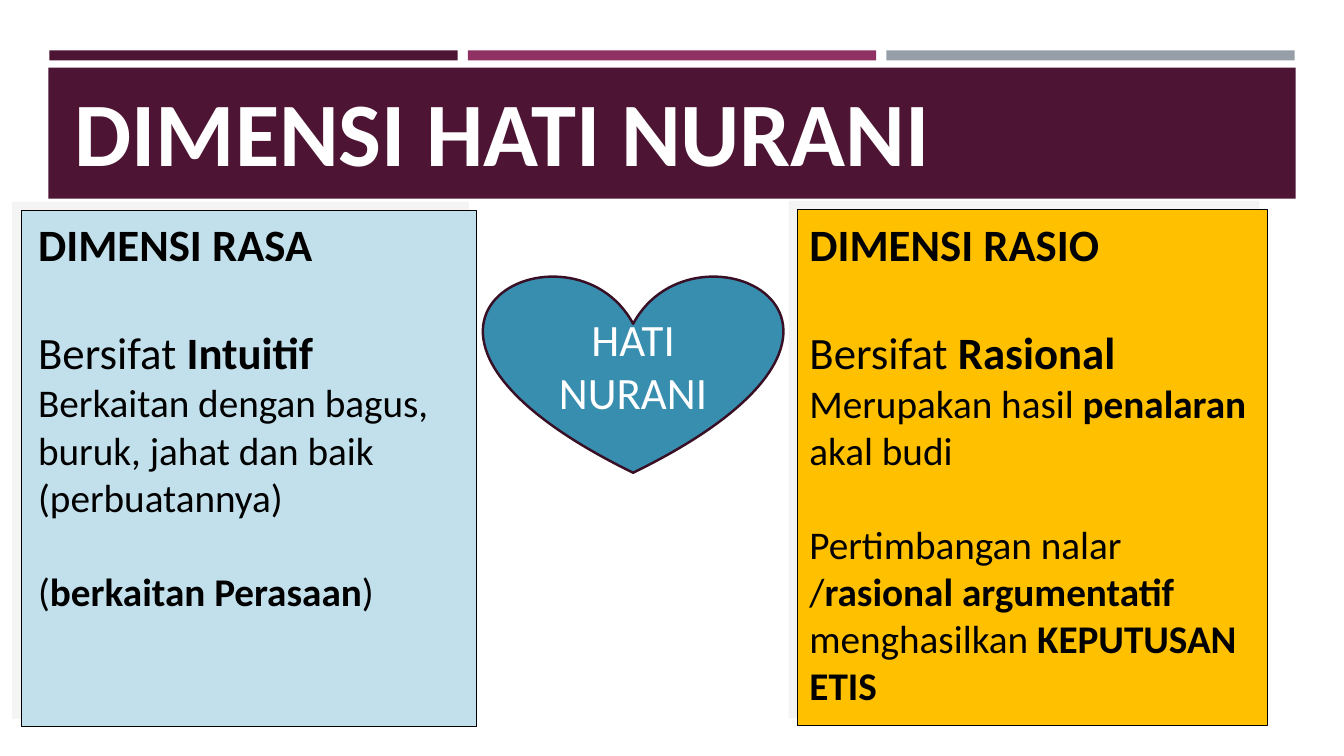
"""Build the slide on the two dimensions of conscience."""
from lxml.etree import SubElement
from pptx import Presentation
from pptx.dml.color import RGBColor
from pptx.enum.shapes import MSO_SHAPE
from pptx.enum.text import MSO_ANCHOR, PP_ALIGN
from pptx.oxml.ns import qn
from pptx.util import Inches, Pt

TITLE = "DIMENSI HATI NURANI"
CENTRE = "HATI NURANI"
BAR_COLOURS = ["4D1434", "903163", "969FA7"]
PANELS = [
    {"area": (0.21, 2.09, 4.52, 5.12), "text_area": (0.28, 2.1, 4.36, 4.07), "fill": "C2E0EB",
     "paragraphs": [
         (32, 0, [("DIMENSI RASA", True)]),
         (32, 39, [("Bersifat ", False), ("Intuitif", True)]),
         (28, 0, [("Berkaitan dengan bagus, buruk, jahat dan baik (perbuatannya)", False)]),
         (28, 34, [("(", False), ("berkaitan Perasaan", True), (")", False)])]},
    {"area": (7.91, 2.08, 4.66, 5.12), "text_area": (7.93, 2.1, 4.6, 5.02), "fill": "FFC000",
     "paragraphs": [
         (32, 0, [("DIMENSI RASIO", True)]),
         (32, 39, [("Bersifat ", False), ("Rasional", True)]),
         (28, 0, [("Merupakan hasil ", False), ("penalaran ", True), ("akal budi", False)]),
         (28, 34, [("Pertimbangan nalar /", False), ("rasional argumentatif ", True),
                   ("menghasilkan ", False), ("KEPUTUSAN ETIS", True)])]},
]


def colour(value):
    """Turn a hex string into a colour."""
    return RGBColor.from_string(value)


def add_box(page, kind, area, fill, line=None, width=0.75):
    """Add a filled shape with an optional outline."""
    box = page.shapes.add_shape(kind, *map(Inches, area))
    box.shadow.inherit = False
    box.fill.solid()
    box.fill.fore_color.rgb = colour(fill)
    if line:
        box.line.color.rgb = colour(line)
        box.line.width = Pt(width)
    else:
        box.line.fill.background()
    return box


def add_shadow(box):
    """Give a box a pale shadow to its upper left."""
    effects = box.element.spPr.find(qn("a:effectLst"))
    shadow = SubElement(effects, qn("a:outerShdw"), blurRad="0", dist=str(Pt(8.5)),
                        dir=str(225 * 60000), algn="ctr", rotWithShape="0")
    tint = SubElement(shadow, qn("a:srgbClr"), val="EBEBEB")
    SubElement(tint, qn("a:alpha"), val="50000")


def write(box, paragraphs, ink, anchor=MSO_ANCHOR.TOP, align=PP_ALIGN.LEFT):
    """Fill a box with paragraphs of (size, space before, spans)."""
    frame = box.text_frame
    frame.word_wrap = True
    frame.vertical_anchor = anchor
    for index, (size, gap, spans) in enumerate(paragraphs):
        para = frame.add_paragraph() if index else frame.paragraphs[0]
        para.alignment = align
        para.space_before = Pt(gap)
        for text, bold in spans:
            span = para.add_run()
            span.text = text
            span.font.color.rgb = colour(ink)
            for name, value in {"name": "Calibri", "size": Pt(size), "bold": bold}.items():
                setattr(span.font, name, value)


deck = Presentation()
deck.slide_width, deck.slide_height = Inches(13.33), Inches(7.5)
page = deck.slides.add_slide(deck.slide_layouts[6])

for index, fill in enumerate(BAR_COLOURS):
    add_box(page, MSO_SHAPE.RECTANGLE, (0.49 + 4.15 * index, 0.5, 4.05, 0.1), fill)
add_box(page, MSO_SHAPE.RECTANGLE, (0.48, 0.67, 12.37, 1.3), BAR_COLOURS[0])
title = page.shapes.add_textbox(*map(Inches, (0.64, 0.77, 12.06, 1.11)))
write(title, [(64.8, 0, [(TITLE, True)])], "FFFFFF", MSO_ANCHOR.BOTTOM)

heart = add_box(page, MSO_SHAPE.HEART, (4.8, 2.72, 2.96, 1.97), "388EAF", "390F26", 1.75)
write(heart, [(32, 0, [(CENTRE, False)])], "FFFFFF", MSO_ANCHOR.MIDDLE, PP_ALIGN.CENTER)

for panel in PANELS:
    add_shadow(add_box(page, MSO_SHAPE.RECTANGLE, panel["area"], panel["fill"], "000000"))
    box = page.shapes.add_textbox(*map(Inches, panel["text_area"]))
    write(box, panel["paragraphs"], "000000")

deck.save("out.pptx")
